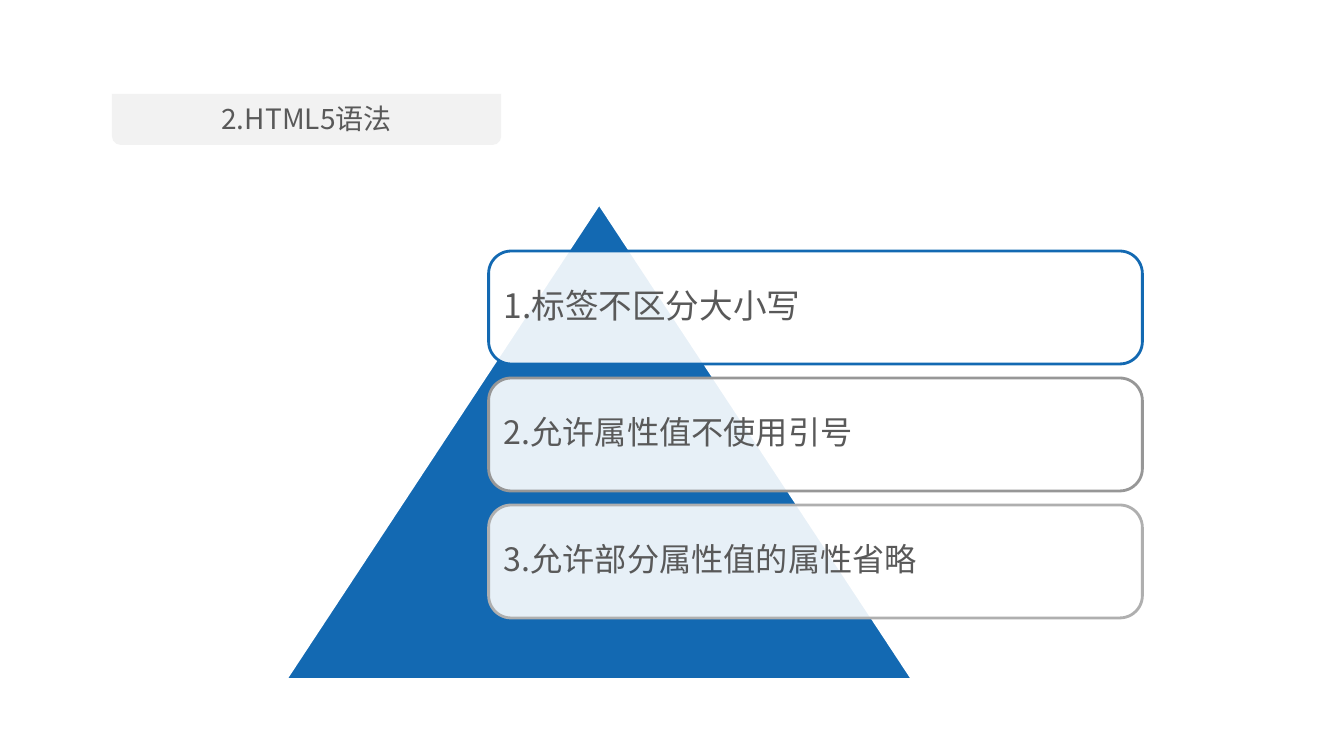
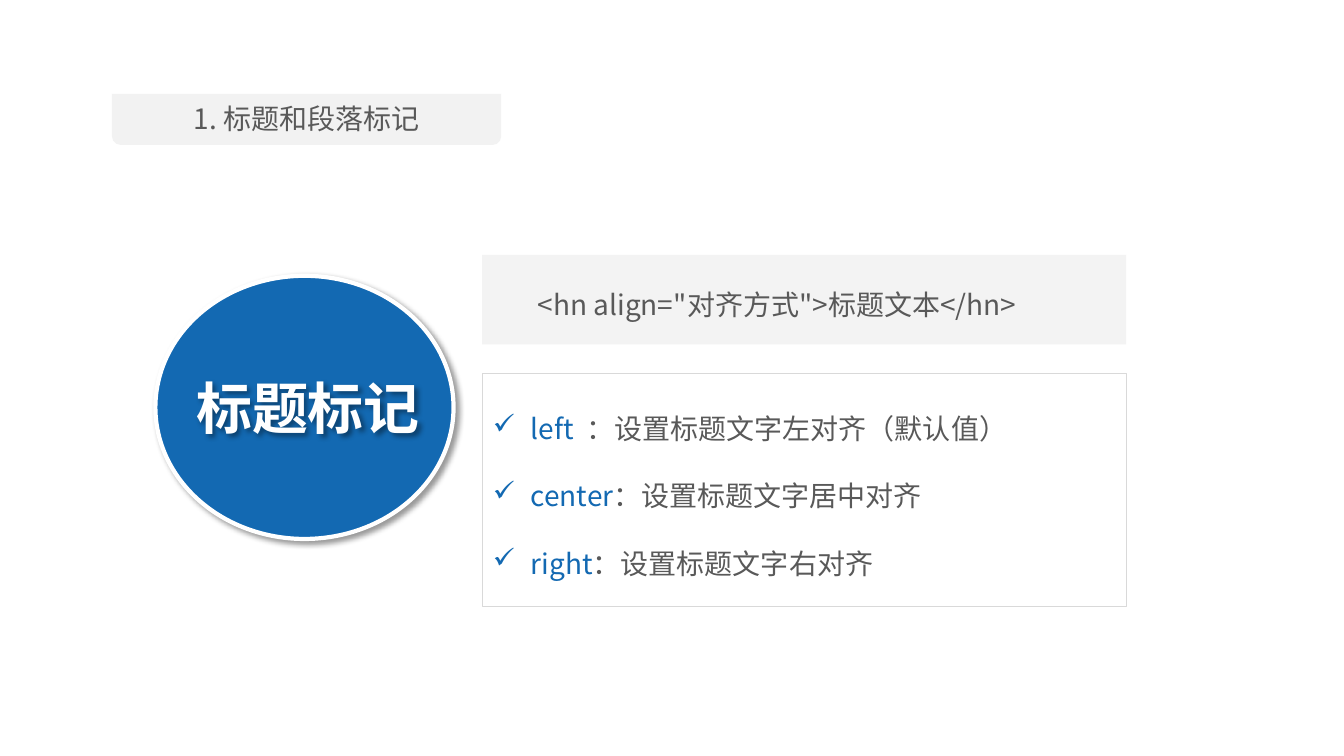
"""Build two slides on HTML5 syntax and heading tags."""
from dataclasses import dataclass
from typing import Optional

from lxml.etree import SubElement as Sub
from pptx import Presentation
from pptx.dml.color import RGBColor as Color
from pptx.enum.shapes import MSO_SHAPE as Kind
from pptx.enum.text import MSO_ANCHOR as Anchor, PP_ALIGN as Align
from pptx.oxml.ns import qn
from pptx.shapes.autoshape import Shape
from pptx.slide import Slide
from pptx.util import Pt

FONT = "Noto Sans CJK SC"
BLUE = Color(0x13, 0x69, 0xB2)
WHITE = Color(0xFF, 0xFF, 0xFF)
PALE = Color(0xF2, 0xF2, 0xF2)
TEXT = Color(0x59, 0x59, 0x59)
EDGE = Color(0xD9, 0xD9, 0xD9)
GREY = Color(0x97, 0x97, 0x97)
SILVER = Color(0xAF, 0xAF, 0xAF)


@dataclass(frozen=True)
class Box:
    left: float
    top: float
    width: float
    height: float

    def span(self) -> tuple[Pt, Pt, Pt, Pt]:
        return Pt(self.left), Pt(self.top), Pt(self.width), Pt(self.height)


@dataclass(frozen=True)
class Rule:
    text: str
    size: float
    edge: Color


@dataclass(frozen=True)
class Term:
    name: str
    note: str


RULES = (
    Rule("1.标签不区分大小写", 24, BLUE),
    Rule("2.允许属性值不使用引号", 23, GREY),
    Rule("3.允许部分属性值的属性省略", 23, SILVER),
)
TERMS = (
    Term("left  ", "：设置标题文字左对齐（默认值）"),
    Term("center", "：设置标题文字居中对齐"),
    Term("right", "：设置标题文字右对齐"),
)


def style(run, size: float, color: Color, bold: bool = False) -> None:
    font = run.font
    font.size = Pt(size)
    font.bold = bold
    font.color.rgb = color
    font.name = FONT
    Sub(run._r.get_or_add_rPr(), qn("a:ea"), typeface=FONT)


def draw(slide: Slide, kind: Kind, box: Box, fill: Color,
         edge: Optional[Color] = None, width: float = 0, alpha: int = 100) -> Shape:
    shape = slide.shapes.add_shape(kind, *box.span())
    shape.shadow.inherit = False
    shape.fill.solid()
    shape.fill.fore_color.rgb = fill
    if alpha < 100:
        tint = shape._element.spPr.find(qn("a:solidFill"))[0]
        Sub(tint, qn("a:alpha"), val=str(alpha * 1000))
    if edge is None:
        shape.line.fill.background()
    else:
        shape.line.color.rgb = edge
        shape.line.width = Pt(width)
    return shape


def write(slide: Slide, box: Box, text: str, size: float, color: Color = TEXT,
          bold: bool = False, wrap: bool = False, align: Align = Align.LEFT) -> Shape:
    label = slide.shapes.add_textbox(*box.span())
    frame = label.text_frame
    frame.word_wrap = wrap
    frame.text = text
    para = frame.paragraphs[0]
    para.alignment = align
    style(para.runs[0], size, color, bold)
    return label


def shade(shape: Shape) -> None:
    shape.shadow.inherit = False
    effects = shape._element.spPr.find(qn("a:effectLst"))
    outer = Sub(effects, qn("a:outerShdw"), blurRad=str(Pt(4)), dist=str(Pt(3)),
                dir="2700000", algn="tl", rotWithShape="0")
    black = Sub(outer, qn("a:srgbClr"), val="000000")
    Sub(black, qn("a:alpha"), val="40000")


def start(deck: Presentation, title: str) -> Slide:
    slide = deck.slides.add_slide(deck.slide_layouts[6])
    band = draw(slide, Kind.ROUND_2_SAME_RECTANGLE, Box(80, 67, 278, 36.5), PALE)
    band.rotation = 180
    write(slide, Box(80, 69, 278, 31.5), title, 20, wrap=True, align=Align.CENTER)
    return slide


def card(slide: Slide, box: Box, rule: Rule) -> None:
    shape = draw(slide, Kind.ROUNDED_RECTANGLE, box, WHITE, rule.edge, 2, 90)
    shape.adjustments[0] = 0.2
    frame = shape.text_frame
    frame.word_wrap = True
    frame.vertical_anchor = Anchor.MIDDLE
    frame.margin_left = frame.margin_right = Pt(6)
    frame.text = rule.text
    para = frame.paragraphs[0]
    para.alignment = Align.LEFT
    para.line_spacing = 0.9
    style(para.runs[0], rule.size, TEXT)


def terms(slide: Slide, box: Box) -> None:
    frame = draw(slide, Kind.RECTANGLE, box, WHITE, EDGE, 0.75).text_frame
    frame.word_wrap = True
    frame.vertical_anchor = Anchor.TOP
    for i, term in enumerate(TERMS):
        para = frame.paragraphs[0] if i == 0 else frame.add_paragraph()
        props = para._p.get_or_add_pPr()
        props.set("marL", str(Pt(27)))
        props.set("indent", str(Pt(-27)))
        Sub(props, qn("a:buChar"), char="✓")
        para.alignment = Align.LEFT
        para.line_spacing = Pt(48)
        for text, color in ((term.name, BLUE), (term.note, TEXT)):
            run = para.add_run()
            run.text = text
            style(run, 20, color)


def syntax(deck: Presentation) -> None:
    slide = start(deck, "2.HTML5语法")
    draw(slide, Kind.ISOSCELES_TRIANGLE, Box(204, 145.5, 448, 340), BLUE, WHITE, 2)
    for i, rule in enumerate(RULES):
        card(slide, Box(349, 179.3 + i * 90.7, 467, 80.7), rule)


def heading(deck: Presentation) -> None:
    slide = start(deck, "1. 标题和段落标记")
    shade(draw(slide, Kind.OVAL, Box(111, 197, 213, 188), BLUE, WHITE, 3))
    shade(write(slide, Box(133, 263, 176.5, 104), "标题标记", 40, WHITE, True))
    draw(slide, Kind.RECTANGLE, Box(344.5, 182, 460, 64), PALE, alpha=90)
    write(slide, Box(377, 201.5, 381, 31.5), '<hn align="对齐方式">标题文本</hn>', 20)
    terms(slide, Box(345, 266.5, 459.5, 167))


def main() -> None:
    deck = Presentation()
    deck.slide_width, deck.slide_height = Pt(960), Pt(540)
    syntax(deck)
    heading(deck)
    deck.save("out.pptx")


if __name__ == "__main__":
    main()
